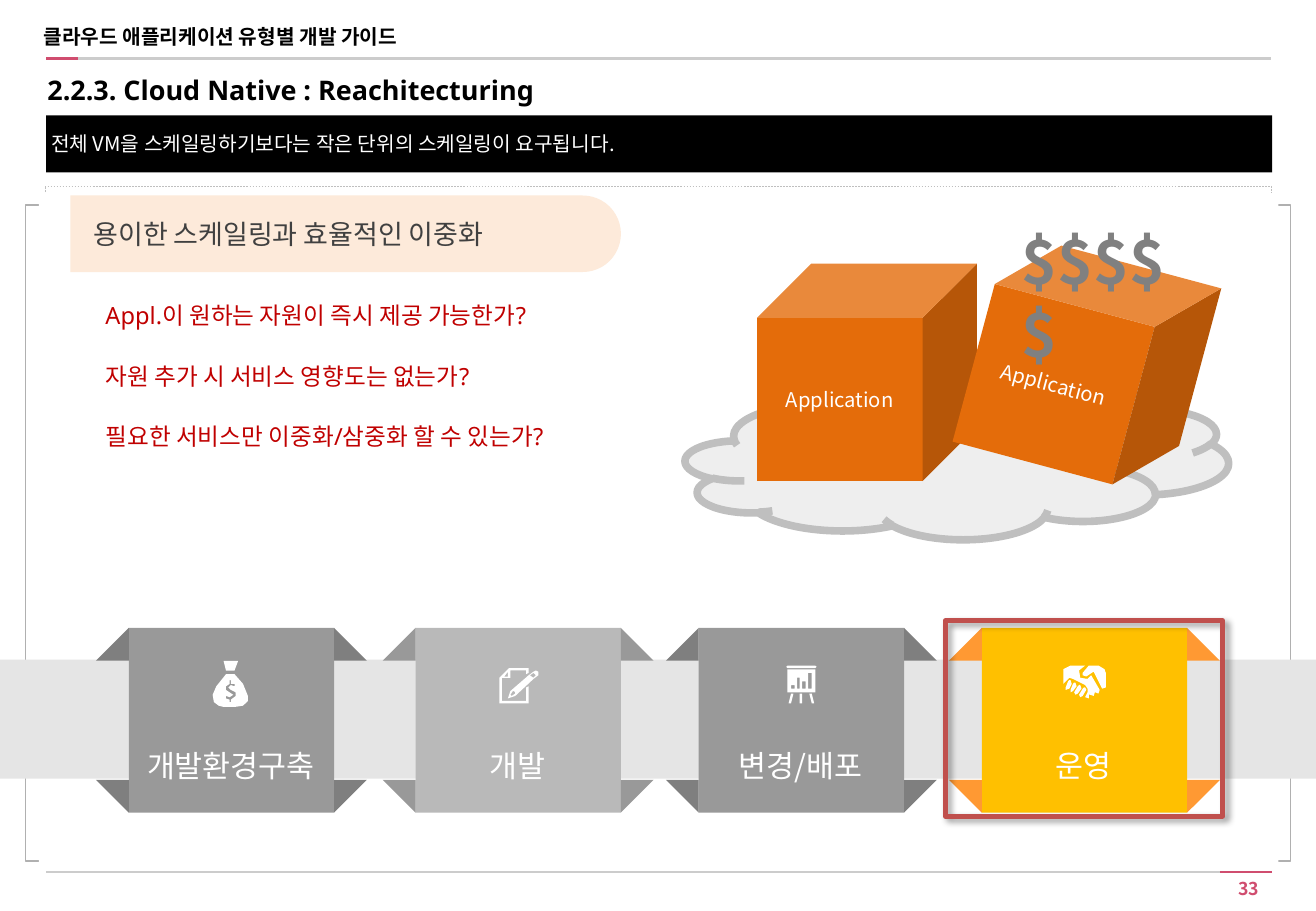
from dataclasses import dataclass

from lxml.etree import SubElement
from pptx import Presentation
from pptx.dml.color import RGBColor
from pptx.enum.dml import MSO_LINE
from pptx.enum.shapes import MSO_CONNECTOR, MSO_SHAPE
from pptx.enum.text import MSO_ANCHOR, MSO_AUTO_SIZE, PP_ALIGN
from pptx.oxml.ns import qn
from pptx.util import Inches, Pt

INK = {
    "black": "000000", "white": "FFFFFF", "text": "404040", "red": "C00000",
    "pink": "D04D6F", "rule": "CCCCCC", "edge": "BFBFBF", "frame": "B0B0B0",
    "band": "E5E5E5", "mid": "999999", "dark": "7F7F7F", "light": "B9B9B9",
    "gold": "FFC000", "amber": "FF9933", "peach": "FDEADA", "cloud": "EAEAEA",
    "cube": "E46C0A", "coin": "808080", "mark": "C0504D",
}
SANS, KR, JP = "Noto Sans", "Noto Sans CJK KR", "Noto Sans CJK JP"
UNIT = Inches(0.01)

# Icon outlines in hundredths of an inch, contours parted by slashes
BAG = """184,544 186,552 193,552 196,544 /
186,555 178,565 175,572 176,578 180,581 184,582 193,582 200,581 204,577 204,573 200,563 193,555 /
189,560 190,560 190,563 193,563 193,565 190,564 188,566 190,568 194,570 194,573 190,576
190,578 189,578 189,576 186,575 186,573 189,574 192,572 189,570 186,568 186,565 189,563"""
PEN = """419,550 411,558 411,579 435,579 435,565 433,566 433,577 413,577 413,558 420,558
420,552 433,552 433,555 435,554 435,550 /
441,552 439,553 435,556 420,569 418,575 424,573 439,559 443,556 443,553 /
418,553 418,557 415,557 / 439,554 441,556 439,558 436,556 /
423,569 424,570 424,571 421,573 420,572 422,569"""
BOARD = """648,548 647,549 648,550 671,550 672,549 671,548 / 648,551 648,570 671,570 671,551 /
665,554 668,554 668,567 665,567 / 656,558 658,558 658,567 656,567 /
660,561 663,561 663,567 660,567 / 651,564 654,564 654,567 651,567 /
651,571 649,579 651,579 653,571 / 658,571 658,579 660,579 660,571 /
666,571 668,579 670,579 668,571"""
HANDS = """881,548 875,551 875,563 877,561 880,558 883,559 893,564 895,567 895,570 893,574 896,575
896,572 897,572 900,573 901,570 904,571 905,568 898,556 895,559 889,558 888,552 893,548 /
896,548 891,554 891,556 894,557 900,553 907,567 910,566 910,554 909,551 904,548 /
880,560 879,561 877,566 877,568 880,567 882,563 881,560 /
884,562 883,563 881,568 881,570 883,569 886,565 885,562 /
888,564 887,565 884,570 885,572 887,571 890,567 889,564 /
892,566 891,567 888,572 889,574 891,573 894,568 893,566"""


@dataclass
class Box:
    x: float
    y: float
    w: float
    h: float


@dataclass
class Step:
    x: float
    label: str
    icon: str
    face: str
    fold: str


@dataclass
class Rule:
    x: float
    end: float
    y: float
    ink: str


STEPS = [
    Step(1.06, "개발환경구축", BAG, "mid", "dark"),
    Step(3.42, "개발", PEN, "light", "mid"),
    Step(5.75, "변경/배포", BOARD, "mid", "dark"),
    Step(8.08, "운영", HANDS, "gold", "amber"),
]
RULES = [
    Rule(0.38, 10.46, 0.48, "rule"), Rule(0.38, 0.64, 0.48, "pink"),
    Rule(0.38, 10.46, 7.18, "rule"), Rule(10.04, 10.47, 7.18, "pink"),
]
ASKS = [
    "Appl.이 원하는 자원이 즉시 제공 가능한가?",
    "자원 추가 시 서비스 영향도는 없는가?",
    "필요한 서비스만 이중화/삼중화 할 수 있는가?",
]

deck = Presentation()
deck.slide_width, deck.slide_height = Inches(10.83), Inches(7.5)
slide = deck.slides.add_slide(deck.slide_layouts[5])
shapes = slide.shapes


def color(name: str) -> RGBColor:
    return RGBColor.from_string(INK[name])


def paint(shape, fill: str = "", line: str = "", width: float = 1):
    """Set fill and line, without a shadow."""
    shape.shadow.inherit = False
    if fill:
        shape.fill.solid()
        shape.fill.fore_color.rgb = color(fill)
    else:
        shape.fill.background()
    if line:
        shape.line.color.rgb = color(line)
        shape.line.width = Pt(width)
    else:
        shape.line.fill.background()
    return shape


def draw(kind, box: Box, fill: str = "", line: str = "", width: float = 1):
    shape = shapes.add_shape(kind, *map(Inches, (box.x, box.y, box.w, box.h)))
    return paint(shape, fill, line, width)


def write(shape, lines: list[str], size: float, ink: str, font: str = KR,
          bold: bool = False, align=PP_ALIGN.LEFT, anchor=MSO_ANCHOR.MIDDLE,
          pad: tuple = (0, 0, 0, 0), gap: float = 0) -> None:
    frame = shape.text_frame
    frame.text = "\n".join(lines)
    frame.word_wrap, frame.auto_size = True, MSO_AUTO_SIZE.NONE
    frame.vertical_anchor = anchor
    (frame.margin_left, frame.margin_top,
     frame.margin_right, frame.margin_bottom) = map(Inches, pad)
    for para in frame.paragraphs:
        para.alignment, para.space_after = align, Pt(gap)
        para.font.size, para.font.bold, para.font.name = Pt(size), bold, font
        para.font.color.rgb = color(ink)


def label(box: Box, lines: list[str], size: float, ink: str, **style):
    area = shapes.add_textbox(*map(Inches, (box.x, box.y, box.w, box.h)))
    write(area, lines, size, ink, **style)
    return area


def trace(loops: list[list[tuple]], fill: str) -> None:
    """Draw closed outlines as one shape."""
    pen = shapes.build_freeform(*loops[0][0], scale=UNIT)
    for i, loop in enumerate(loops):
        if i:
            pen.move_to(*loop[0])
        pen.add_line_segments(loop[1:], close=True)
    paint(pen.convert_to_shape(), fill)


def icon(data: str) -> None:
    trace([[tuple(map(int, dot.split(","))) for dot in loop.split()]
           for loop in data.split("/")], "white")


def ribbon(step: Step) -> None:
    top, wide, high, fold = 5.17, 1.69, 1.52, 0.27
    draw(MSO_SHAPE.RECTANGLE, Box(step.x, top, wide, high), step.face)
    for x, side in ((step.x, -fold), (step.x + wide, fold)):
        for y, drop in ((top, fold), (top + high, -fold)):
            dots = [(x, y), (x, y + drop), (x + side, y + drop)]
            trace([[(a * 100, b * 100) for a, b in dots]], step.fold)
    icon(step.icon)
    text = label(Box(step.x + 0.1, 6.15, 1.48, 0.27), [step.label], 18, "white",
                 align=PP_ALIGN.CENTER)
    text.text_frame.paragraphs[0].line_spacing = 1.1


# Page frame
draw(MSO_SHAPE.RECTANGLE, Box(0.37, 1.53, 10.09, 5.5), "", "edge",
     0.25).line.dash_style = MSO_LINE.DASH
for rule in RULES:
    line = shapes.add_connector(MSO_CONNECTOR.STRAIGHT, *map(
        Inches, (rule.x, rule.y, rule.end, rule.y)))
    line.line.color.rgb, line.line.width = color(rule.ink), Pt(1.5)
    SubElement(line._element.spPr, qn("a:effectLst"))
label(Box(9.79, 7.18, 0.57, 0.28), ["33"], 10.5, "pink", font=JP, bold=True,
      align=PP_ALIGN.RIGHT, anchor=MSO_ANCHOR.TOP, pad=(0.1, 0.05, 0, 0.05))
draw(MSO_SHAPE.RECTANGLE, Box(0.21, 1.69, 10.41, 5.4), "white", "frame")
draw(MSO_SHAPE.RECTANGLE, Box(0.32, 1.59, 10.2, 5.57), "white")

# Heading
label(Box(0.27, 0.2, 5.97, 0.31), ["클라우드 애플리케이션 유형별 개발 가이드"], 12,
      "black", font=SANS, bold=True, anchor=MSO_ANCHOR.TOP, pad=(0.09, 0, 0, 0))
title = shapes.title
title.left, title.top, title.width, title.height = map(
    Inches, (0.39, 0.52, 10.07, 0.43))
write(title, ["2.2.3. Cloud Native : Reachitecturing"], 16, "black", font=SANS,
      bold=True, pad=(0, 0.05, 0, 0.05))
bar = draw(MSO_SHAPE.RECTANGLE, Box(0.38, 0.95, 10.09, 0.47), "black")
write(bar, ["전체 VM을 스케일링하기보다는 작은 단위의 스케일링이 요구됩니다."], 12,
      "white", pad=(0.04, 0, 0, 0))

# Process ribbon
draw(MSO_SHAPE.RECTANGLE, Box(0, 5.43, 10.83, 0.98), "band")
for step in STEPS:
    ribbon(step)

# Questions
label(Box(0.77, 2.43, 4.84, 1.45), ASKS, 14, "red", font=SANS,
      anchor=MSO_ANCHOR.TOP, pad=(0.1, 0.05, 0.1, 0.05), gap=19)
pill = draw(MSO_SHAPE.ROUND_2_SAME_RECTANGLE, Box(2.53, -0.34, 0.63, 4.53), "peach")
pill.rotation, pill.adjustments[0] = 90, 0.5
write(pill, ["용이한 스케일링과 효율적인 이중화"], 16, "text", font=SANS)
pill.text_frame._txBody.bodyPr.set("vert", "vert270")
pill.text_frame.paragraphs[0]._p.get_or_add_pPr().set("marL", str(Inches(0.19)))

# Cloud with two applications
cloud = draw(MSO_SHAPE.CLOUD, Box(5.64, 3.22, 4.47, 1.22), "cloud", "edge", 4.5)
tint = cloud._element.spPr.find(qn("a:solidFill"))[0]
SubElement(tint, qn("a:alpha"), val="80000")
for x, y, turn in ((6.23, 2.17, 0), (8.04, 2.11, 15)):
    cube = draw(MSO_SHAPE.CUBE, Box(x, y, 1.81, 1.79), "cube")
    cube.rotation = turn
    write(cube, ["Application"], 12, "white", align=PP_ALIGN.CENTER)
label(Box(8.31, 1.79, 1.6, 0.71), ["$$$$$"], 36, "coin", bold=True,
      anchor=MSO_ANCHOR.TOP, pad=(0.1, 0.05, 0.1, 0.05))

# Highlight on the last step
mark = draw(MSO_SHAPE.RECTANGLE, Box(7.78, 5.11, 2.28, 1.61), "", "mark", 3)
glow = SubElement(mark._element.spPr.find(qn("a:effectLst")), qn("a:outerShdw"),
                  blurRad=str(Pt(4)), dist=str(Pt(3)), dir="2700000")
shade = SubElement(glow, qn("a:srgbClr"), val=INK["black"])
SubElement(shade, qn("a:alpha"), val="40000")

deck.save("out.pptx")
